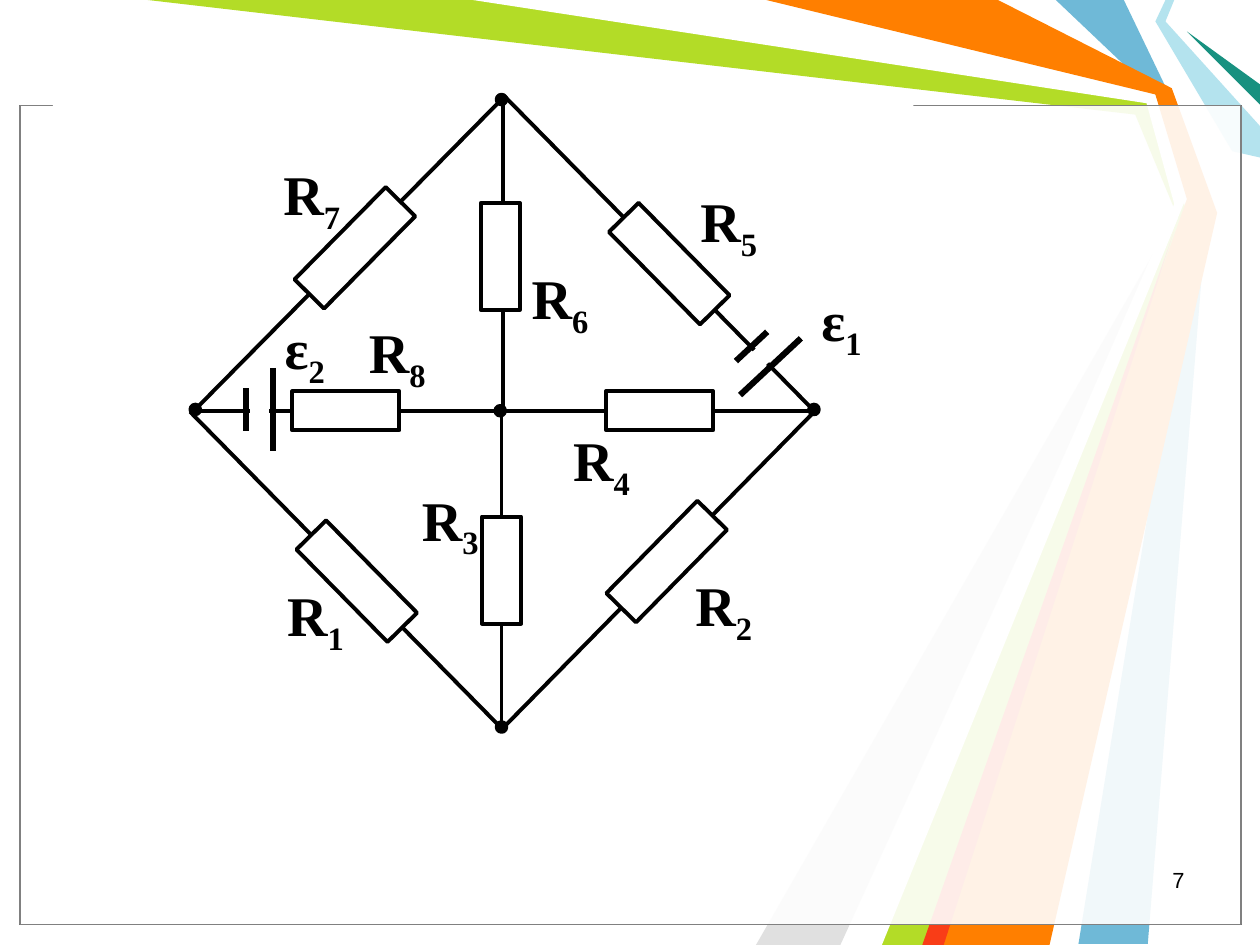
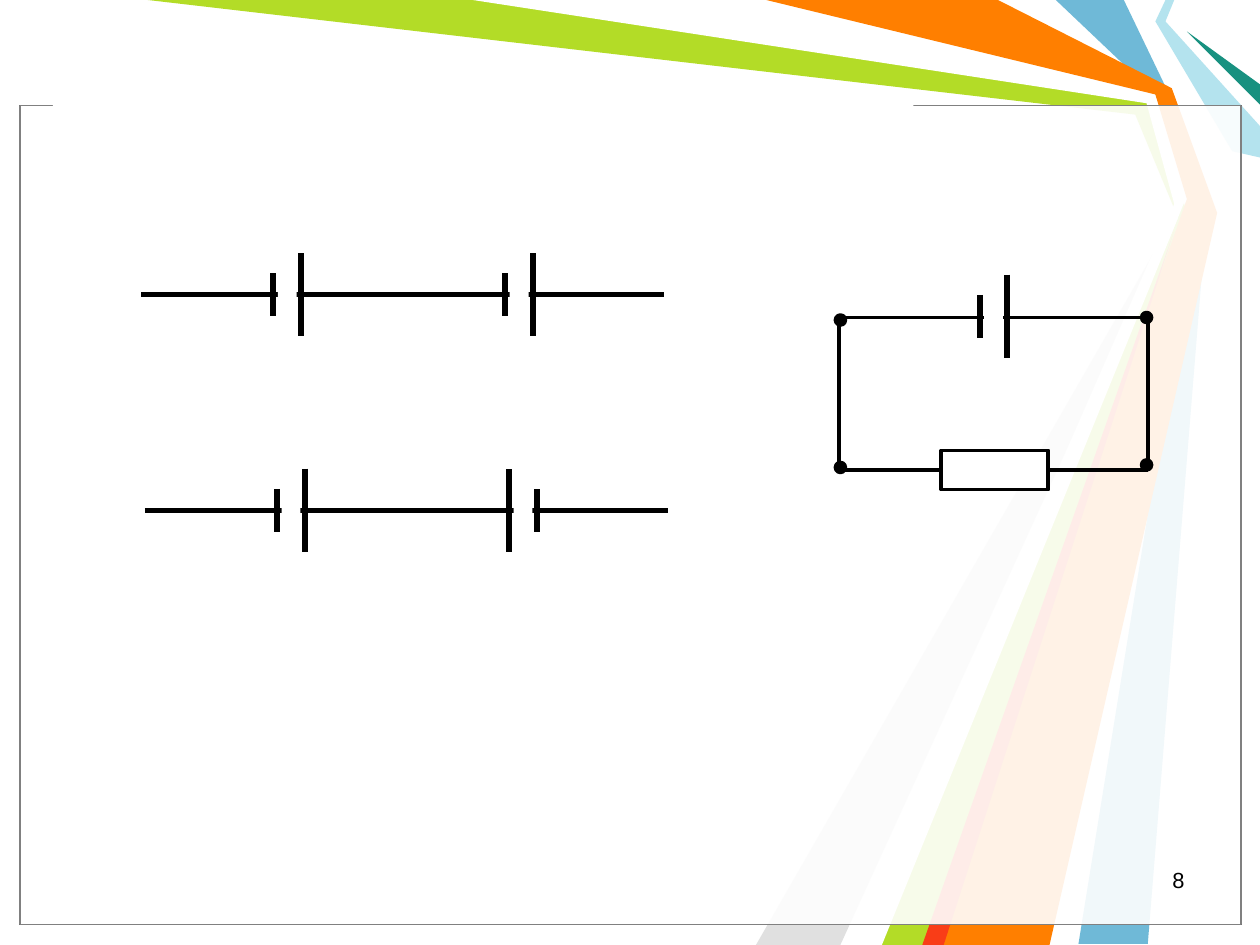
import math
from lxml import etree
from pptx import Presentation
from pptx.dml.color import RGBColor
from pptx.enum import shapes as kinds, text as txt
from pptx.oxml.ns import qn
from pptx.util import Inches, Pt

HUE = {
    "ink": "000000", "white": "FFFFFF", "grey": "808080", "pale": "E0E0E0",
    "blue": "6FB9D7", "lime": "B3DC27", "aqua": "B4E3EE", "teal": "189180",
    "orange": "FF7F00", "red": "F93D17",
}
RECT = kinds.MSO_SHAPE.RECTANGLE
DOT = kinds.MSO_SHAPE.OVAL
WIRE, PLATE = 2.25, 3.5

# Background ribbons, back to front
BANDS = [
    ("blue", [(8.92, 0), (9.29, 0.77), (9.58, 1.67), (9.11, 7.49),
              (8.56, 7.49), (9.5, 1.67), (9.17, 0.75), (8.38, 0)]),
    ("lime", [(1.17, 0), (3.83, 0), (9.14, 0.78), (9.42, 1.69), (7.42, 7.5),
              (6.92, 7.5), (9.35, 1.73), (9.01, 0.91)]),
    ("pale", [(6.67, 7.5), (9.27, 1.81), (6, 7.5)]),
    ("white", [(3.75, 0), (9.1, 0.82), (9.32, 1.62), (6.75, 7.5), (7, 7.5),
               (9.41, 1.58), (9.17, 0.75), (6, 0)]),
    ("aqua", [(9.25, 0), (9.17, 0.17), (9.78, 1.2), (10, 1.25), (10, 1),
              (9.25, 0.17), (9.32, 0)]),
    ("teal", [(10, 0.83), (9.42, 0.25), (10, 0.67)]),
    ("orange", [(6.08, 0), (7.92, 0), (9.3, 0.7), (9.66, 1.69), (8.33, 7.5),
                (7.33, 7.5), (9.42, 1.58), (9.17, 0.75)]),
    ("red", [(7.32, 7.5), (9.32, 1.83), (7.49, 7.5)]),
]


def color(name):
    return RGBColor.from_string(HUE[name])


def paint(shape, fill, line=None, width=WIRE, alpha=None):
    shape.shadow.inherit = False
    shape.fill.solid()
    shape.fill.fore_color.rgb = color(fill)
    if alpha:
        tint = next(shape.element.spPr.iter(qn("a:srgbClr")))
        etree.SubElement(tint, qn("a:alpha")).set("val", str(alpha * 1000))
    if line:
        shape.line.color.rgb = color(line)
        shape.line.width = Pt(width)
    else:
        shape.line.fill.background()


def block(slide, kind, box, fill, turn=0, **style):
    shape = slide.shapes.add_shape(kind, *map(Inches, box))
    shape.rotation = turn
    paint(shape, fill, **style)


def wire(slide, start, end, width=WIRE):
    line = slide.shapes.add_connector(
        kinds.MSO_CONNECTOR.STRAIGHT, *map(Inches, (*start, *end)))
    line.line.color.rgb = color("ink")
    line.line.width = Pt(width)
    etree.SubElement(line.element.spPr, qn("a:effectLst"))


def write(slide, box, text, sub="", font="Times New Roman", size=32,
          bold=True, align=txt.PP_ALIGN.LEFT, space=1.0, wrap=False):
    frame = slide.shapes.add_textbox(*map(Inches, box)).text_frame
    frame.word_wrap = wrap
    if not wrap:
        frame.auto_size = txt.MSO_AUTO_SIZE.SHAPE_TO_FIT_TEXT
    para = frame.paragraphs[0]
    para.alignment = align
    para.line_spacing = space
    for part in filter(None, (text, sub)):
        run = para.add_run()
        run.text = part
        run.font.name = font
        run.font.size = Pt(size)
        run.font.bold = bold
        run.font.color.rgb = color("ink")
    if sub:
        run.font._element.set("baseline", "-25000")


# Circuit parts, each placed by its centre
def centred(x, y, w, h):
    return x - w / 2, y - h / 2, w, h


def node(slide, x, y):
    block(slide, DOT, centred(x, y, 0.08, 0.08), "ink", line="ink", width=2)


def ohm(slide, x, y, turn=0, size=(0.85, 0.31)):
    block(slide, RECT, centred(x, y, *size), "white", turn, line="ink")


def cell(slide, x, y, turn=0):
    """Battery: short plate behind, long plate ahead, along the turn."""
    cos, sin = math.cos(math.radians(turn)), math.sin(math.radians(turn))
    for ahead, half in ((-0.11, 0.17), (0.11, 0.33)):
        px, py = x + ahead * cos, y + ahead * sin
        wire(slide, (px + half * sin, py - half * cos),
             (px - half * sin, py + half * cos), PLATE)
    block(slide, RECT, centred(x, y, 0.15, 0.35), "white", turn)


def branch(slide, start, end, shift=0):
    """Wire with a resistor; sloping branches carry a larger one."""
    (ax, ay), (bx, by) = start, end
    turn = math.degrees(math.atan2(by - ay, bx - ax))
    slope = ax != bx and ay != by
    part = 0.525 if slope else 0.5
    size = (1.03, 0.33) if slope else (0.85, 0.31)
    wire(slide, start, end)
    ohm(slide, ax + part * (bx - ax) + shift, ay + part * (by - ay), turn, size)


# Shared backdrop and page number
def back(slide, page):
    for fill, points in BANDS:
        first, *rest = [(Inches(x), Inches(y)) for x, y in points]
        pen = slide.shapes.build_freeform(*first)
        pen.add_line_segments(rest, close=True)
        paint(pen.convert_to_shape(), fill)
    for line in ("ink", "grey"):
        block(slide, RECT, (0.16, 0.84, 9.69, 6.5), "white",
              line=line, width=0.75, alpha=69)
    block(slide, RECT, (0.42, 0.74, 6.83, 0.17), "white")
    write(slide, (7.17, 6.87, 2.33, 0.33), str(page), font="Arial", size=12.5,
          bold=False, align=txt.PP_ALIGN.RIGHT, space=0.8, wrap=True)


# Bridge circuit with eight resistor labels and two sources
def bridge(slide, left, top):
    def at(x, y):
        return left + x, top + y

    arms = [
        ((2.51, 2.51), (4.96, 2.51), 0), ((0.02, 2.51), (2.47, 2.51), 0),
        ((2.49, 0.06), (2.49, 2.51), -0.02), ((2.48, 2.55), (2.48, 5), 0),
        ((2.49, 5.03), (4.97, 2.51), 0), ((0.01, 2.54), (2.5, 0.02), 0),
        ((2.51, 0.02), (4.99, 2.54), 0), ((0.03, 2.54), (2.51, 5.06), 0),
    ]
    for start, end, shift in arms:
        branch(slide, at(*start), at(*end), shift)
    for spot in ((2.47, 2.51), (4.96, 2.5), (2.48, 5.02), (2.48, 0.04),
                 (0.05, 2.5)):
        node(slide, *at(*spot))
    cell(slide, *at(0.56, 2.5))
    cell(slide, *at(4.54, 2.08), turn=47)

    names = [
        ("R", "1", 0.68, 3.81), ("R", "3", 1.75, 3.05), ("R", "2", 3.92, 3.73),
        ("R", "4", 2.95, 2.58), ("R", "8", 1.33, 1.72), ("R", "6", 2.62, 1.29),
        ("R", "5", 3.96, 0.68), ("R", "7", 0.65, 0.47),
        ("ε", "1", 4.92, 1.47), ("ε", "2", 0.66, 1.69),
    ]
    for name, sub, x, y in names:
        wide = 0.65 if name == "R" else 0.52
        write(slide, (*at(x, y), wide, 0.71), name, sub)


# Two cells in a row, the second one facing either way
def chain(slide, left, mid, turn=0):
    wire(slide, (left, mid), (left + 4.15, mid), 2.75)
    cell(slide, left + 1.16, mid)
    cell(slide, left + 3, mid, turn)


# Closed loop of one cell and one resistor
def loop(slide, left, top, wide, high):
    right, base = left + wide, top + high
    for y in (base, top):
        wire(slide, (left, y), (right, y))
    for x in (left, right):
        wire(slide, (x, base), (x, top))
    ohm(slide, left + wide / 2 + 0.01, base)
    cell(slide, left + wide / 2, top - 0.01)
    for x, drop in ((left + 0.01, 0.02), (right - 0.01, 0)):
        node(slide, x, top + drop)
        node(slide, x, base - 0.04 + drop)


def main():
    deck = Presentation()
    deck.slide_width, deck.slide_height = Inches(10), Inches(7.5)
    blank = deck.slide_layouts.get_by_name("Blank")
    first, second = (deck.slides.add_slide(blank) for _ in range(2))
    for page, slide in enumerate((first, second), 7):
        back(slide, page)
    bridge(first, 1.5, 0.75)
    chain(second, 1.12, 2.34)
    chain(second, 1.15, 4.05, turn=180)
    loop(second, 6.66, 2.52, 2.45, 1.21)
    deck.save("out.pptx")


if __name__ == "__main__":
    main()
